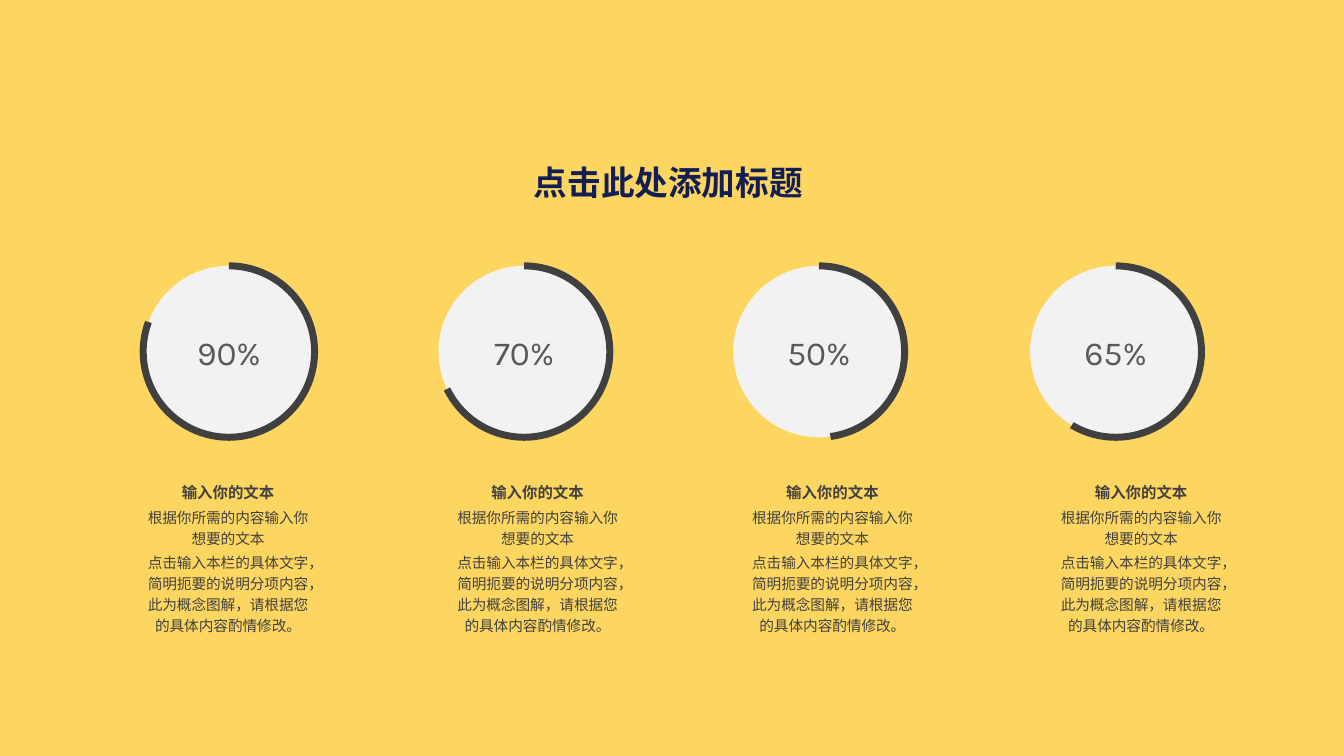
from pptx import Presentation
from pptx import util as u
from pptx.dml.color import RGBColor
from pptx.enum import shapes, text
from pptx.oxml.ns import qn

HAN = "Noto Sans CJK SC"
DARK = "404040"
SIZE = 4.32
TOP = 6.7
DIALS = [
    ("90%", 3.61, 3.25, 200.2),
    ("70%", 11.05, 11.05, 154.1),
    ("50%", 18.48, 18.48, 82.3),
    ("65%", 25.96, 26.26, 120.8),
]
HEAD = {"size": u.Pt(11), "bold": True}
BODY = {"size": u.Pt(10.5), "bold": False}
NOTES = [
    ("输入你的文本", HEAD),
    ("根据你所需的内容输入你想要的文本", BODY),
    ("点击输入本栏的具体文字，简明扼要的说明分项内容，此为概念图解，请根据您的具体内容酌情修改。", BODY),
]


def paint(color, hue):
    color.rgb = RGBColor.from_string(hue)


def apply(item, form):
    for key, val in form.items():
        setattr(item, key, val)


def box(*sides):
    return [u.Cm(side) for side in sides]


def write(para, words, face, hue, form):
    run = para.add_run()
    run.text = words
    apply(run.font, {"name": face, **form})
    paint(run.font.color, hue)
    east = run.font._element.makeelement(qn("a:ea"), {"typeface": face})
    run.font._element.find(qn("a:latin")).addnext(east)


def add_title(slide):
    title = slide.shapes.title
    apply(title, dict(zip(("left", "top", "width", "height"), box(13.2, 3.86, 8.1, 1.4))))
    apply(title.text_frame, {"vertical_anchor": text.MSO_ANCHOR.TOP, "word_wrap": True,
                             "auto_size": text.MSO_AUTO_SIZE.SHAPE_TO_FIT_TEXT})
    para = title.text_frame.paragraphs[0]
    apply(para, {"alignment": text.PP_ALIGN.LEFT, "line_spacing": 1.1, "space_before": u.Pt(0)})
    write(para, "点击此处添加标题", HAN, "131E54", {"size": u.Pt(24), "bold": True})


def add_disc(slide, label, left):
    disc = slide.shapes.add_shape(shapes.MSO_SHAPE.OVAL, *box(left, TOP, SIZE, SIZE))
    disc.shadow.inherit = False
    disc.fill.solid()
    paint(disc.fill.fore_color, "F2F2F2")
    disc.line.fill.background()
    disc.text_frame.vertical_anchor = text.MSO_ANCHOR.MIDDLE
    para = disc.text_frame.paragraphs[0]
    para.alignment = text.PP_ALIGN.CENTER
    write(para, label, "Karla", "595959", {"size": u.Pt(24)})


def add_ring(slide, left, end):
    ring = slide.shapes.add_shape(shapes.MSO_SHAPE.ARC, *box(left, TOP, SIZE, SIZE))
    ring.shadow.inherit = False
    for pos, angle in enumerate((270, end)):
        ring.adjustments[pos] = angle * 0.6
    ring.fill.background()
    ring.line.width = u.Pt(5)
    paint(ring.line.color, DARK)


def add_note(slide, left):
    frame = slide.shapes.add_textbox(*box(left, 11.94, 5, 4.29)).text_frame
    apply(frame, {"word_wrap": True, "auto_size": text.MSO_AUTO_SIZE.SHAPE_TO_FIT_TEXT,
                  "margin_left": u.Cm(0.3), "margin_right": u.Cm(0.3),
                  "margin_top": u.Cm(0.15), "margin_bottom": u.Cm(0.15)})
    for pos, (words, form) in enumerate(NOTES):
        para = frame.add_paragraph() if pos else frame.paragraphs[0]
        apply(para, {"alignment": text.PP_ALIGN.CENTER, "line_spacing": 1.2,
                     "space_before": u.Pt(2.1)})
        write(para, words, HAN, DARK, form)


def main():
    deck = Presentation()
    apply(deck, {"slide_width": u.Cm(33.87), "slide_height": u.Cm(19.05)})
    slide = deck.slides.add_slide(deck.slide_layouts[5])
    slide.background.fill.solid()
    paint(slide.background.fill.fore_color, "FDD661")
    add_title(slide)
    for label, left, note, end in DIALS:
        add_disc(slide, label, left)
        add_ring(slide, left, end)
        add_note(slide, note)
    deck.save("out.pptx")


if __name__ == "__main__":
    main()
